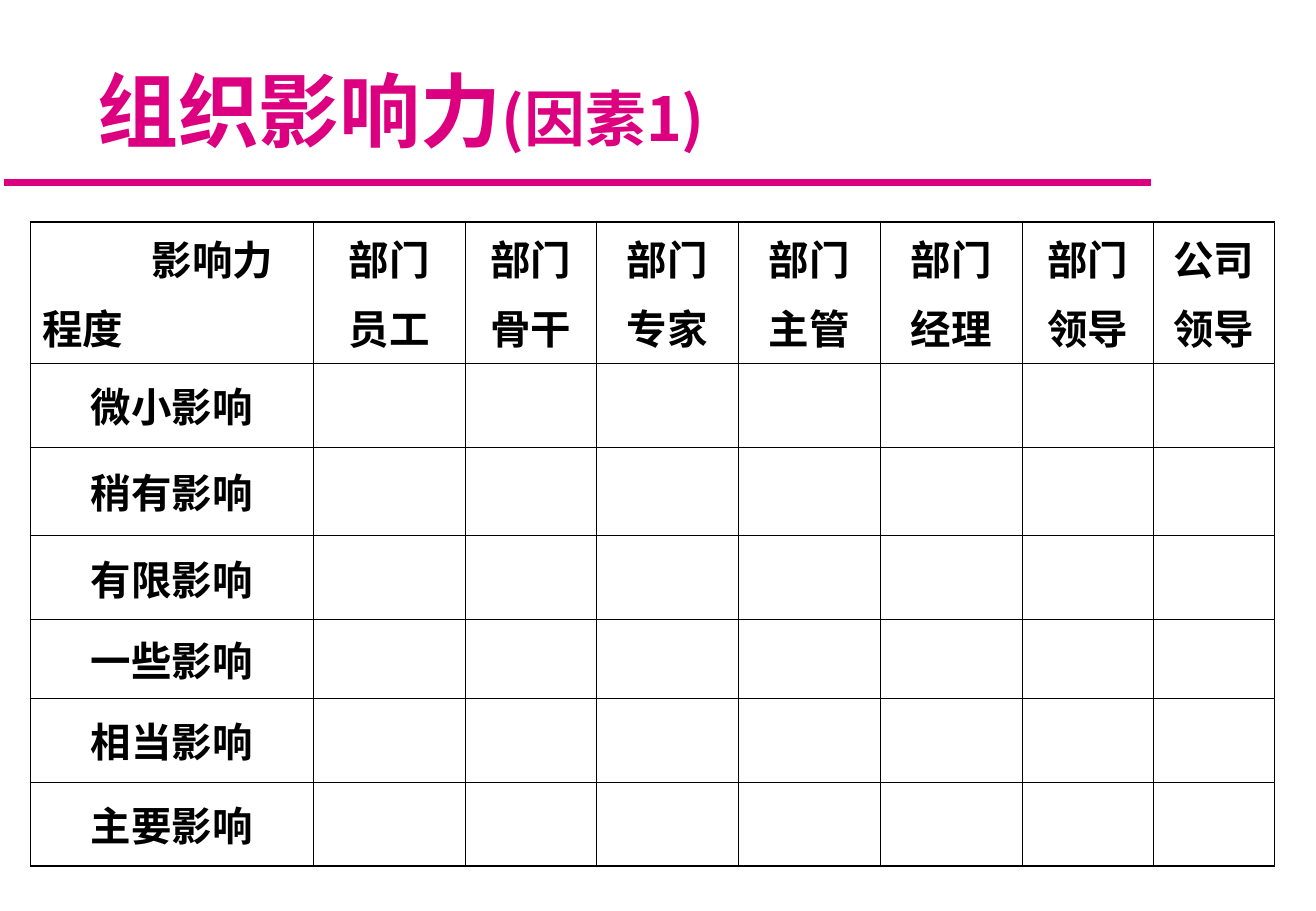
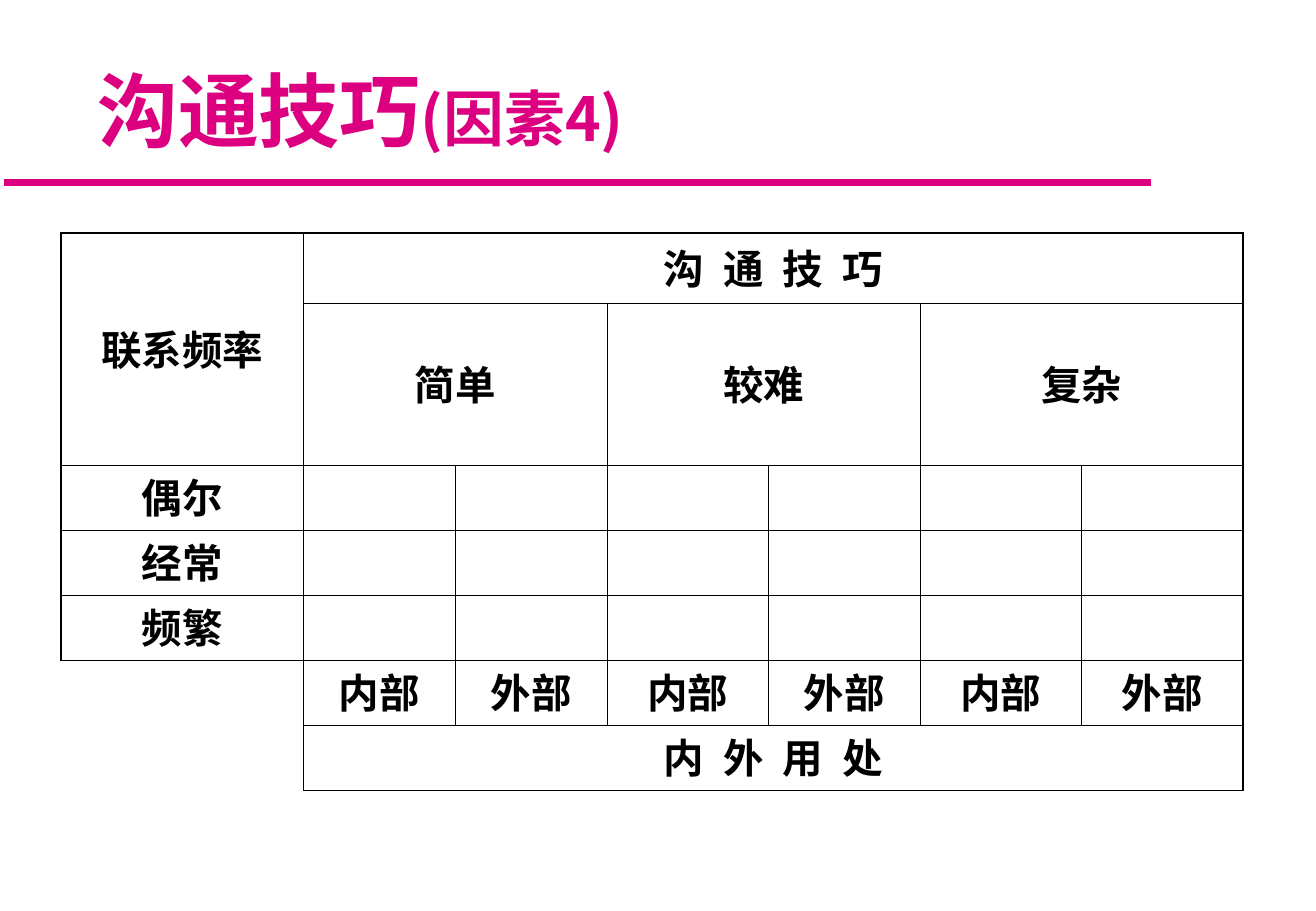
from lxml import etree
from pptx import Presentation
from pptx.dml.color import RGBColor
from pptx.enum.shapes import MSO_CONNECTOR
from pptx.enum.text import MSO_ANCHOR, MSO_AUTO_SIZE, PP_ALIGN
from pptx.oxml.ns import qn
from pptx.util import Pt

LEFT, CENTER = PP_ALIGN.LEFT, PP_ALIGN.CENTER
TOP, MIDDLE, BOTTOM = MSO_ANCHOR.TOP, MSO_ANCHOR.MIDDLE, MSO_ANCHOR.BOTTOM
PX = 9144  # 100 px to the inch
PINK, BLACK = "DC0081", "000000"
HEAVY, THIN = 1.08, 0.45
TITLE_FONT, NOTE_FONT, BODY_FONT = "Noto Sans CJK JP", "Noto Sans CJK SC", "Times New Roman"

# Content: cells are keyed by (row, column), merges are first and last cell
staff = ["部门\n员工", "部门\n骨干", "部门\n专家", "部门\n主管",
         "部门\n经理", "部门\n领导", "公司\n领导"]
impacts = ["微小影响", "稍有影响", "有限影响", "一些影响", "相当影响", "主要影响"]
levels = ["简单", "较难", "复杂"]
frequencies = ["偶尔", "经常", "频繁"]
sides = ["内部", "外部"] * 3

SLIDES = [
    dict(
        title="组织影响力", note="(因素1)", at=(25, 183),
        cols=[233, 125, 108, 117, 117, 117, 108, 100],
        rows=[116, 69, 73, 69, 65, 69, 69],
        cells={(0, 0): "影响力\n程度",
               **{(0, c): t for c, t in enumerate(staff, 1)},
               **{(r, 0): t for r, t in enumerate(impacts, 1)}},
        merges=[], corner=(0, 0), line_spacing=1.0, open_cells=[]),
    dict(
        title="沟通技巧", note="(因素4)", at=(50, 192),
        cols=[200, 125, 125, 133, 125, 133, 133],
        rows=[58, 133, 53, 53, 53, 53, 53],
        cells={(0, 0): "联系频率", (0, 1): "沟 通 技 巧", (6, 1): "内 外 用 处",
               **{(1, 1 + 2 * i): t for i, t in enumerate(levels)},
               **{(r, 0): t for r, t in enumerate(frequencies, 2)},
               **{(5, c): t for c, t in enumerate(sides, 1)}},
        merges=[((0, 0), (1, 0)), ((0, 1), (0, 6)), ((5, 0), (6, 0)), ((6, 1), (6, 6)),
                *[((1, c), (1, c + 1)) for c in (1, 3, 5)]],
        corner=None, line_spacing=0.9, open_cells=[(5, 0), (6, 0)]),
]


def px(*values):
    return [v * PX for v in values]


def rgb(color):
    return RGBColor.from_string(color)


def add_run(p, text, size, font, color, east_asian=None):
    r = p.add_run()
    r.text = text
    for name, value in dict(size=Pt(size), name=font, bold=True).items():
        setattr(r.font, name, value)
    r.font.color.rgb = rgb(color)
    etree.SubElement(r.font._element, qn("a:ea")).set("typeface", east_asian or font)
    return r


def add_heading(s, title, note):
    sp = s.shapes.title
    sp.left, sp.top, sp.width, sp.height = px(33, 25, 983, 108)
    tf = sp.text_frame
    frame = dict(word_wrap=True, auto_size=MSO_AUTO_SIZE.NONE, vertical_anchor=BOTTOM,
                 margin_left=47 * PX, margin_right=10 * PX,
                 margin_top=5 * PX, margin_bottom=3 * PX)
    for name, value in frame.items():
        setattr(tf, name, value)
    p = tf.paragraphs[0]
    p.alignment = LEFT
    add_run(p, title, 48, TITLE_FONT, PINK)
    add_run(p, note, 36, NOTE_FONT, PINK)

    # Rule under the title
    rule = s.shapes.add_connector(MSO_CONNECTOR.STRAIGHT, *px(3, 150, 948, 150))
    rule.line.color.rgb = rgb(PINK)
    rule.line.width = Pt(4)
    etree.SubElement(rule._element.spPr, qn("a:effectLst"))


def set_borders(cell, widths):
    """Widths are left, right, top, bottom; None draws no line."""
    tcPr = cell._tc.get_or_add_tcPr()
    for i, (side, width) in enumerate(zip("LRTB", widths)):
        ln = etree.Element(qn("a:ln" + side))
        if width is None:
            etree.SubElement(ln, qn("a:noFill"))
        else:
            ln.set("w", str(int(Pt(width))))
            fill = etree.SubElement(ln, qn("a:solidFill"))
            etree.SubElement(fill, qn("a:srgbClr")).set("val", BLACK)
        tcPr.insert(i, ln)


def fill_cell(cell, text, line_spacing, is_corner):
    cell.vertical_anchor = TOP if is_corner else MIDDLE
    tf = cell.text_frame
    for i, line in enumerate(text.split("\n")):
        p = tf.paragraphs[0] if i == 0 else tf.add_paragraph()
        p.alignment = LEFT if is_corner else CENTER
        p.line_spacing = line_spacing
        if i:
            p.space_before = Pt(6)
        elif is_corner:
            p._p.get_or_add_pPr().set("marL", str(90 * PX))
        r = add_run(p, line, 24, BODY_FONT, BLACK, NOTE_FONT)
        if " " in line:
            r.font._element.set("spc", "300")


def add_grid(s, d):
    cols, rows = d["cols"], d["rows"]
    table = s.shapes.add_table(len(rows), len(cols),
                               *px(*d["at"], sum(cols), sum(rows))).table
    table.first_row = table.horz_banding = False
    for column, width in zip(table.columns, cols):
        column.width = width * PX
    for row, height in zip(table.rows, rows):
        row.height = height * PX
    for first, last in d["merges"]:
        table.cell(*first).merge(table.cell(*last))

    for r in range(len(rows)):
        for c in range(len(cols)):
            cell = table.cell(r, c)
            cell.fill.background()
            is_open = (r, c) in d["open_cells"]
            outer = None if is_open else HEAVY
            at_edge = (c == 0, c + cell.span_width == len(cols),
                       r == 0, r + cell.span_height == len(rows))
            set_borders(cell, [outer if edge else THIN for edge in at_edge])
            if (r, c) in d["cells"]:
                fill_cell(cell, d["cells"][r, c], d["line_spacing"], (r, c) == d["corner"])


def main():
    prs = Presentation()
    prs.slide_width, prs.slide_height = px(1084, 750)
    for d in SLIDES:
        s = prs.slides.add_slide(prs.slide_layouts[5])
        add_heading(s, d["title"], d["note"])
        add_grid(s, d)
    prs.save("out.pptx")


if __name__ == "__main__":
    main()
